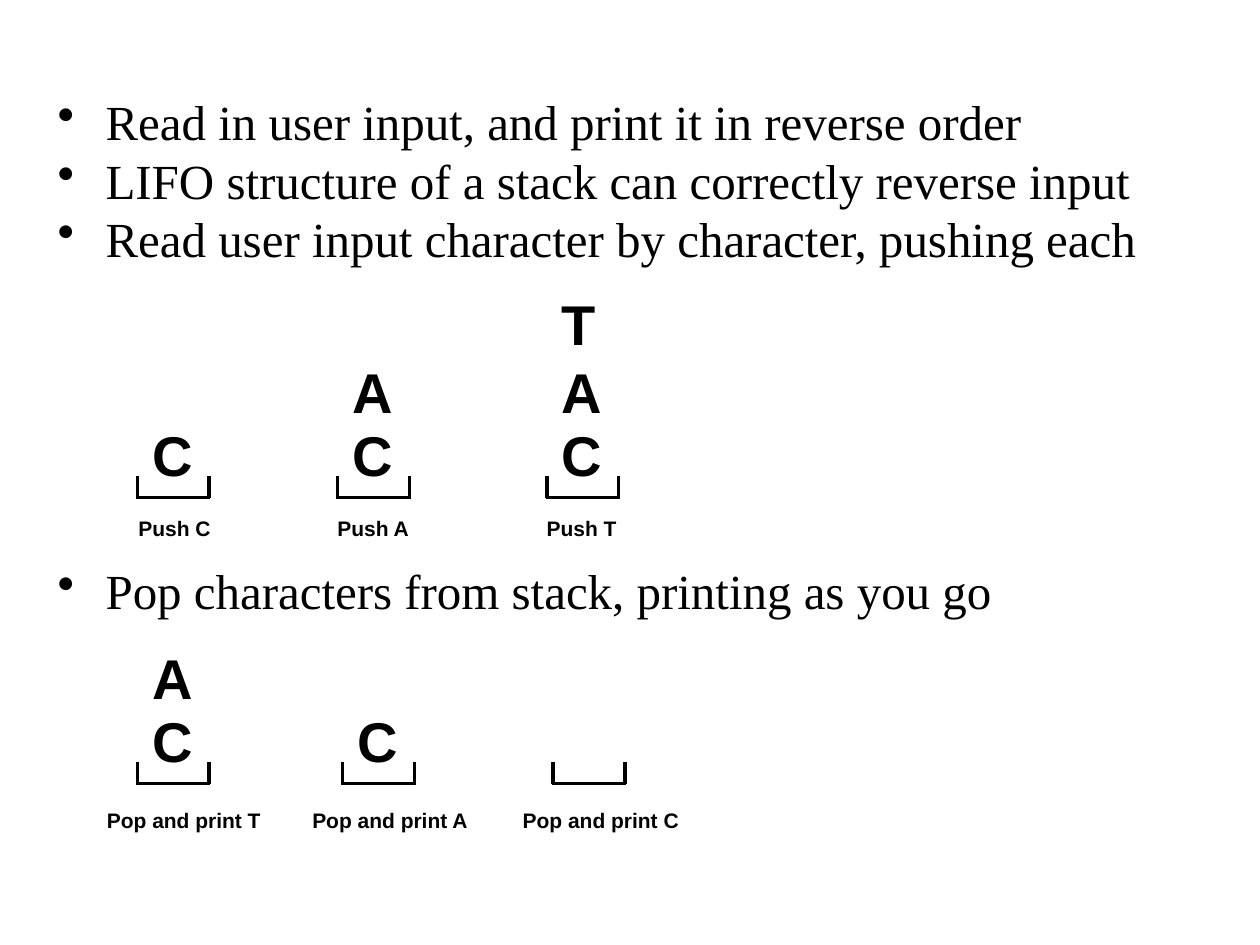
import pptx
import pptx.util
import pptx.dml.color
import pptx.enum.shapes
import pptx.enum.text
from lxml import etree

Inches = pptx.util.Inches
Pt = pptx.util.Pt
COLORS = {"ink": "000000", "paper": "FFFFFF"}
LETTER_RISES = [0.66, 1.16, 1.7]
LETTER_WIDTHS = {"A": 0.53, "C": 0.53, "T": 0.48}


class SlideBuilder:
    body_font = "Times New Roman"
    label_font = "Arial"
    body_size = 28
    letter_size = 32
    label_size = 12
    line_pitch = 33.5

    def __init__(self, prs):
        self.s = prs.slides.add_slide(prs.slide_layouts[6])
        fill = self.s.background.fill
        fill.solid()
        fill.fore_color.rgb = self.color("paper")

    def color(self, name):
        return pptx.dml.color.RGBColor.from_string(COLORS[name])

    def style(self, p, font, size, bold=False):
        for r in p.runs:
            r.font.name = font
            r.font.size = Pt(size)
            r.font.bold = bold
            r.font.color.rgb = self.color("ink")

    def bullets(self, items, left, top, width, height):
        tf = self.s.shapes.add_textbox(
            Inches(left), Inches(top), Inches(width), Inches(height)).text_frame
        tf.word_wrap = True
        for i, (text, lines_before) in enumerate(items):
            p = tf.paragraphs[0] if i == 0 else tf.add_paragraph()
            p.text = text
            p.line_spacing = Pt(self.line_pitch)
            if lines_before:
                p.space_before = Pt(lines_before * self.line_pitch)
            pPr = p._p.get_or_add_pPr()
            pPr.set("marL", str(Inches(0.38)))
            pPr.set("indent", str(Inches(-0.38)))
            bullet = etree.SubElement(pPr, pptx.oxml.ns.qn("a:buChar"))
            bullet.set("char", "•")
            self.style(p, self.body_font, self.body_size)

    def text(self, text, left, top, width, height, size):
        tf = self.s.shapes.add_textbox(
            Inches(left), Inches(top), Inches(width), Inches(height)).text_frame
        tf.word_wrap = False
        tf.auto_size = pptx.enum.text.MSO_AUTO_SIZE.SHAPE_TO_FIT_TEXT
        tf.text = text
        self.style(tf.paragraphs[0], self.label_font, size, bold=True)

    def line(self, x1, y1, x2, y2):
        c = self.s.shapes.add_connector(
            pptx.enum.shapes.MSO_CONNECTOR.STRAIGHT,
            Inches(x1), Inches(y1), Inches(x2), Inches(y2))
        c.line.color.rgb = self.color("ink")
        c.line.width = Pt(2)
        etree.SubElement(c._element.spPr, pptx.oxml.ns.qn("a:effectLst"))

    def stack(self, left, base, letters, label, label_left, label_top, label_width):
        self.line(left, base, left + 0.59, base)
        for side in (left + 0.58, left + 0.01):
            self.line(side, base, side, base - 0.17)
        for letter, rise in zip(letters, LETTER_RISES):
            self.text(letter, left + 0.03, base - rise,
                      LETTER_WIDTHS[letter], 0.64, self.letter_size)
        self.text(label, label_left, label_top, label_width, 0.3, self.label_size)


def main():
    prs = pptx.Presentation()
    prs.slide_width = Inches(10)
    prs.slide_height = Inches(7.5)
    slide = SlideBuilder(prs)
    slide.bullets([
        ("Read in user input, and print it in reverse order", 0),
        ("LIFO structure of a stack can correctly reverse input", 0),
        ("Read user input character by character, pushing each", 0),
        ("Pop characters from stack, printing as you go", 5),
    ], 0.36, 0.68, 9.67, 6.23)

    push_base, push_label = 3.95, 4.04
    pop_base, pop_label = 6.22, 6.36
    for stack in [
        (1.08, push_base, "C", "Push C", 1, push_label, 0.78),
        (2.67, push_base, "CA", "Push A", 2.58, push_label, 0.78),
        (4.33, push_base, "CAT", "Push T", 4.24, push_label, 0.76),
        (1.08, pop_base, "CA", "Pop and print T", 0.75, pop_label, 1.44),
        (2.71, pop_base, "C", "Pop and print A", 2.38, pop_label, 1.45),
        (4.38, pop_base, "", "Pop and print C", 4.05, pop_label, 1.46),
    ]:
        slide.stack(*stack)
    prs.save("out.pptx")


if __name__ == "__main__":
    main()
